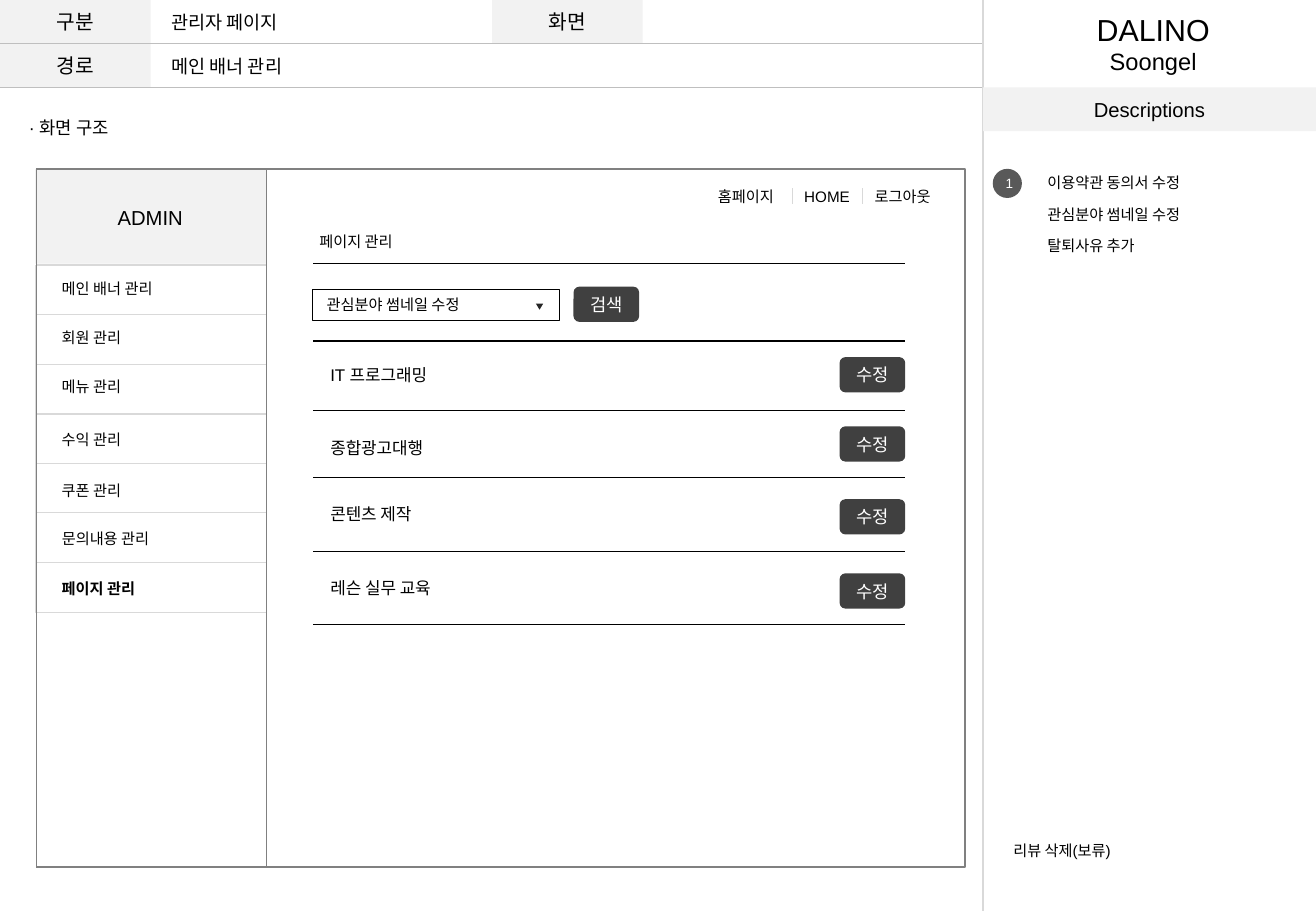
from lxml.etree import SubElement
from pptx import Presentation
from pptx.dml.color import RGBColor
from pptx.enum.shapes import MSO_CONNECTOR, MSO_SHAPE
from pptx.enum.text import MSO_ANCHOR, MSO_AUTO_SIZE, PP_ALIGN
from pptx.oxml.ns import qn
from pptx.util import Emu, Pt

FONT = "Arial"
BLACK, WHITE = "000000", "FFFFFF"
PANEL, RULE, HEADER_RULE, FRAME, BUTTON = "F2F2F2", "D9D9D9", "BFBFBF", "808080", "404040"
SIDE_X, HEADER_H = 809, 36
CONTENT_L, CONTENT_R = 258, 745

MENU = [("메인 배너 관리", 225), ("회원 관리", 265), ("메뉴 관리", 306), ("수익 관리", 349),
        ("쿠폰 관리", 391), ("문의내용 관리", 431), ("페이지 관리", 472)]
# name, top of name, top of button, line below
INTERESTS = [("IT 프로그래밍", 295, 294, 338), ("종합광고대행", 355, 351, 393),
             ("콘텐츠 제작", 410, 411, 454), ("레슨 실무 교육", 471, 472, 514)]
DESCRIPTIONS = ["이용약관 동의서 수정", "관심분야 썸네일 수정", "탈퇴사유 추가"]


def px(n):
    """Length in EMU, at 100 px to the inch."""
    return Emu(n * 9144)


def rgb(color):
    return RGBColor.from_string(color)


def format_text(tf, sizes, color, align, bold=False):
    """Format each paragraph with the size at the same place in sizes."""
    for p, size in zip(tf.paragraphs, sizes):
        p.alignment = align
        for r in p.runs:
            r.font.name = FONT
            r.font.size = Pt(size)
            r.font.bold = bold
            r.font.color.rgb = rgb(color)


def add_box(s, x, y, w, h, fill=None, line=None, weight=0.25, kind=MSO_SHAPE.RECTANGLE,
            text="", size=12, color=BLACK):
    sp = s.shapes.add_shape(kind, px(x), px(y), px(w), px(h))
    sp.shadow.inherit = False
    if fill:
        sp.fill.solid()
        sp.fill.fore_color.rgb = rgb(fill)
    else:
        sp.fill.background()
    if line:
        sp.line.color.rgb = rgb(line)
        sp.line.width = Pt(weight)
    else:
        sp.line.fill.background()
    if text:
        tf = sp.text_frame
        tf.text = text
        tf.vertical_anchor = MSO_ANCHOR.MIDDLE
        format_text(tf, [size], color, PP_ALIGN.CENTER)
    return sp


def add_button(s, x, y, text):
    add_box(s, x, y, 54, 29, BUTTON, kind=MSO_SHAPE.ROUNDED_RECTANGLE,
            text=text, size=10.5, color=WHITE)


def add_label(s, x, y, w, h, text, *sizes, align=PP_ALIGN.LEFT, bold=False, wrap=False):
    tf = s.shapes.add_textbox(px(x), px(y), px(w), px(h)).text_frame
    tf.text = text
    tf.word_wrap = wrap
    tf.auto_size = MSO_AUTO_SIZE.SHAPE_TO_FIT_TEXT
    format_text(tf, sizes, BLACK, align, bold)


def add_line(s, x1, y1, x2, y2, color, weight=0.75):
    line = s.shapes.add_connector(MSO_CONNECTOR.STRAIGHT, px(x1), px(y1), px(x2), px(y2))
    line.line.color.rgb = rgb(color)
    line.line.width = Pt(weight)
    SubElement(line.element.spPr, qn("a:effectLst"))


def add_header(s):
    for x, y, text in [(0, 0, "구분"), (405, 0, "화면"), (0, HEADER_H, "경로")]:
        add_box(s, x, y, 124, HEADER_H, PANEL, text=text)
    for y in (HEADER_H, 2 * HEADER_H):
        add_line(s, 0, y, SIDE_X, y, HEADER_RULE)
    add_label(s, 131, 4, 117, 29, "관리자 페이지", 11)
    add_label(s, 131, 40, 121, 29, "메인 배너 관리", 11)
    add_label(s, 14, 91, 95, 29, "· 화면 구조", 10.5)


def add_descriptions(s):
    add_line(s, SIDE_X, 0, SIDE_X, 750, RULE)
    add_box(s, SIDE_X, 2 * HEADER_H, 274, HEADER_H, PANEL, text="Descriptions")
    add_label(s, 873, 4, 152, 64, "DALINO\nSoongel", 18, 14, align=PP_ALIGN.CENTER)
    add_box(s, 817, 139, 24, 24, "595959", kind=MSO_SHAPE.OVAL, text="1", size=8, color=WHITE)
    for i, (text, w) in enumerate(zip(DESCRIPTIONS, (141, 141, 99))):
        add_label(s, 852, 138 + 26 * i, w, 25, text, 9)
    add_label(s, 824, 688, 108, 25, "리뷰 삭제(보류)", 9, wrap=True)


def add_menu(s):
    add_box(s, 29, 139, 190, 78, PANEL)
    add_box(s, 30, 139, 764, 575, line=FRAME, weight=1)
    add_line(s, 30, 218, 220, 218, RULE)
    add_label(s, 87, 164, 74, 30, "ADMIN", 12)
    for i, (text, y) in enumerate(MENU):
        add_box(s, 29, 218 + round(40.8 * i), 190, 41, line=RULE)
        width = {5: 74, 6: 87, 7: 99, 8: 103}[len(text)]
        add_label(s, 41, y, width, 25, text, 9, bold=i == len(MENU) - 1)
    add_box(s, 30, 139, 189, 575, line=FRAME, weight=0.5)


def add_page(s):
    for x, w, text in [(581, 71, "홈페이지"), (652, 58, "HOME"), (710, 71, "로그아웃")]:
        add_label(s, x, 149, w, 25, text, 9)
    for x in (652, 710):
        add_line(s, x, 155, x, 168, RULE)
    add_label(s, 253, 186, 87, 25, "페이지 관리", 9)
    add_line(s, CONTENT_L, 217, CONTENT_R, 217, BLACK)

    add_box(s, 257, 238, 203, 26, line=BLACK)
    arrow = add_box(s, 441, 250, 6, 5, "262626", kind=MSO_SHAPE.ISOSCELES_TRIANGLE)
    arrow.rotation = 180
    add_label(s, 259, 238, 141, 25, "관심분야 썸네일 수정", 9)
    add_button(s, 472, 236, "검색")
    add_line(s, CONTENT_L, 281, CONTENT_R, 281, BLACK, 1)

    for (text, text_y, button_y, line_y), w in zip(INTERESTS, (107, 104, 94, 112)):
        add_label(s, 262, text_y, w, 27, text, 10)
        add_button(s, 691, button_y, "수정")
        add_line(s, CONTENT_L, line_y, CONTENT_R, line_y, BLACK)


def main():
    prs = Presentation()
    prs.slide_width, prs.slide_height = px(1083), px(750)
    s = prs.slides.add_slide(prs.slide_layouts[6])
    add_header(s)
    add_descriptions(s)
    add_menu(s)
    add_page(s)
    prs.save("out.pptx")


if __name__ == "__main__":
    main()
